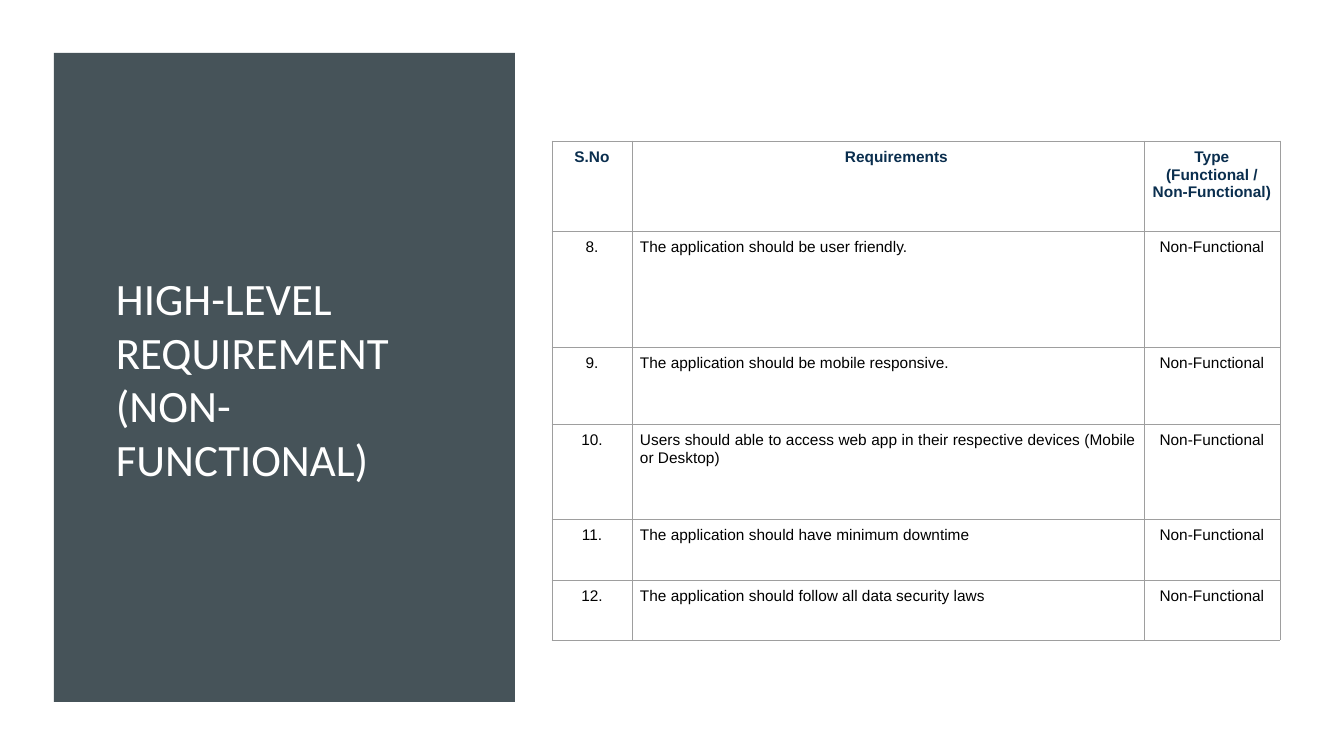
from dataclasses import dataclass

from lxml.etree import SubElement
from pptx import Presentation
from pptx.dml.color import RGBColor
from pptx.enum.shapes import MSO_SHAPE as SHAPE
from pptx.enum.text import MSO_ANCHOR as ANCHOR, PP_ALIGN as ALIGN
from pptx.oxml.ns import qn
from pptx.util import Emu, Pt

SCALE = 914400 / 100.8


def px(n):
    """Turn px into EMU."""
    return Emu(round(n * SCALE))


@dataclass(frozen=True)
class Theme:
    """Colours, fonts and type sizes of the slide."""
    panel: str = "465359"
    title: str = "FFFFFF"
    header: str = "0A2E4E"
    body: str = "000000"
    border: str = "9E9E9E"
    title_font: str = "Calibri"
    table_font: str = "Arial"
    title_size: int = 32
    table_size: int = 11
    border_width: float = 0.6
    cell_inset: int = 8


class SlideBuilder:
    """Draws styled elements on one slide."""

    def __init__(self, slide, theme):
        """Keep the slide and its theme."""
        self.s = slide
        self.theme = theme

    def style(self, p, font, size, color, bold=False, align=ALIGN.LEFT):
        """Set the font and alignment of a paragraph."""
        p.alignment = align
        p.font.name, p.font.size, p.font.bold = font, Pt(size), bold
        p.font.color.rgb = RGBColor.from_string(color)

    def panel(self, x, y, w, h):
        """Add a filled rectangle."""
        sp = self.s.shapes.add_shape(SHAPE.RECTANGLE, px(x), px(y), px(w), px(h))
        sp.shadow.inherit = False
        sp.fill.solid()
        sp.fill.fore_color.rgb = RGBColor.from_string(self.theme.panel)
        sp.line.fill.background()

    def title(self, text, x, y, w, h):
        """Add the vertically centred title."""
        t = self.theme
        tf = self.s.shapes.add_textbox(px(x), px(y), px(w), px(h)).text_frame
        tf.word_wrap = True
        tf.vertical_anchor = ANCHOR.MIDDLE
        p = tf.paragraphs[0]
        p.text = text
        self.style(p, t.title_font, t.title_size, t.title)

    def border(self, cell):
        """Draw a thin line on each side of a cell."""
        tc_pr = cell._tc.get_or_add_tcPr()
        for side in ("a:lnL", "a:lnR", "a:lnT", "a:lnB"):
            ln = SubElement(tc_pr, qn(side), w=str(Pt(self.theme.border_width)))
            fill = SubElement(ln, qn("a:solidFill"))
            SubElement(fill, qn("a:srgbClr"), val=self.theme.border)

    def cell(self, cell, text, header, align, indent=0):
        """Fill and style one table cell."""
        t = self.theme
        cell.margin_left = px(t.cell_inset + indent)
        cell.margin_right = cell.margin_top = cell.margin_bottom = px(t.cell_inset)
        self.border(cell)
        cell.fill.background()
        cell.text = text
        for p in cell.text_frame.paragraphs:
            self.style(p, t.table_font, t.table_size,
                       t.header if header else t.body, header, align)

    def table(self, rows, x, y, widths, heights, aligns, header_indents):
        """Add a bordered table whose first row is the header."""
        frame = self.s.shapes.add_table(len(rows), len(widths), px(x), px(y),
                                        px(sum(widths)), px(sum(heights)))
        table = frame.table
        table.first_row = table.horz_banding = False
        for col, w in zip(table.columns, widths):
            col.width = px(w)
        for i, (row, h) in enumerate(zip(rows, heights)):
            table.rows[i].height = px(h)
            for j, text in enumerate(row):
                header = i == 0
                self.cell(table.cell(i, j), text, header,
                          ALIGN.CENTER if header else aligns[j],
                          header_indents[j] if header else 0)


HEADER = ("S.No", "Requirements", "Type\n(Functional / Non-Functional)")
REQUIREMENTS = (
    "The application should be user friendly.",
    "The application should be mobile responsive.",
    "Users should able to access web app in their respective devices (Mobile or Desktop)",
    "The application should have minimum downtime",
    "The application should follow all data security laws",
)


def main():
    """Build and save the slide."""
    prs = Presentation()
    prs.slide_width, prs.slide_height = px(1344), px(756)
    b = SlideBuilder(prs.slides.add_slide(prs.slide_layouts[6]), Theme())
    b.panel(54, 53, 461, 649)
    b.title("HIGH-LEVEL REQUIREMENT\v(NON-FUNCTIONAL)", 106, 123, 361, 510)
    rows = [HEADER] + [(f"{n}.", text, "Non-Functional")
                       for n, text in enumerate(REQUIREMENTS, 8)]
    b.table(rows, 552, 141, (80, 512, 136), (90, 116, 77, 95, 61, 60),
            (ALIGN.CENTER, ALIGN.JUSTIFY, ALIGN.CENTER), (0, 17, 0))
    prs.save("out.pptx")


if __name__ == "__main__":
    main()
